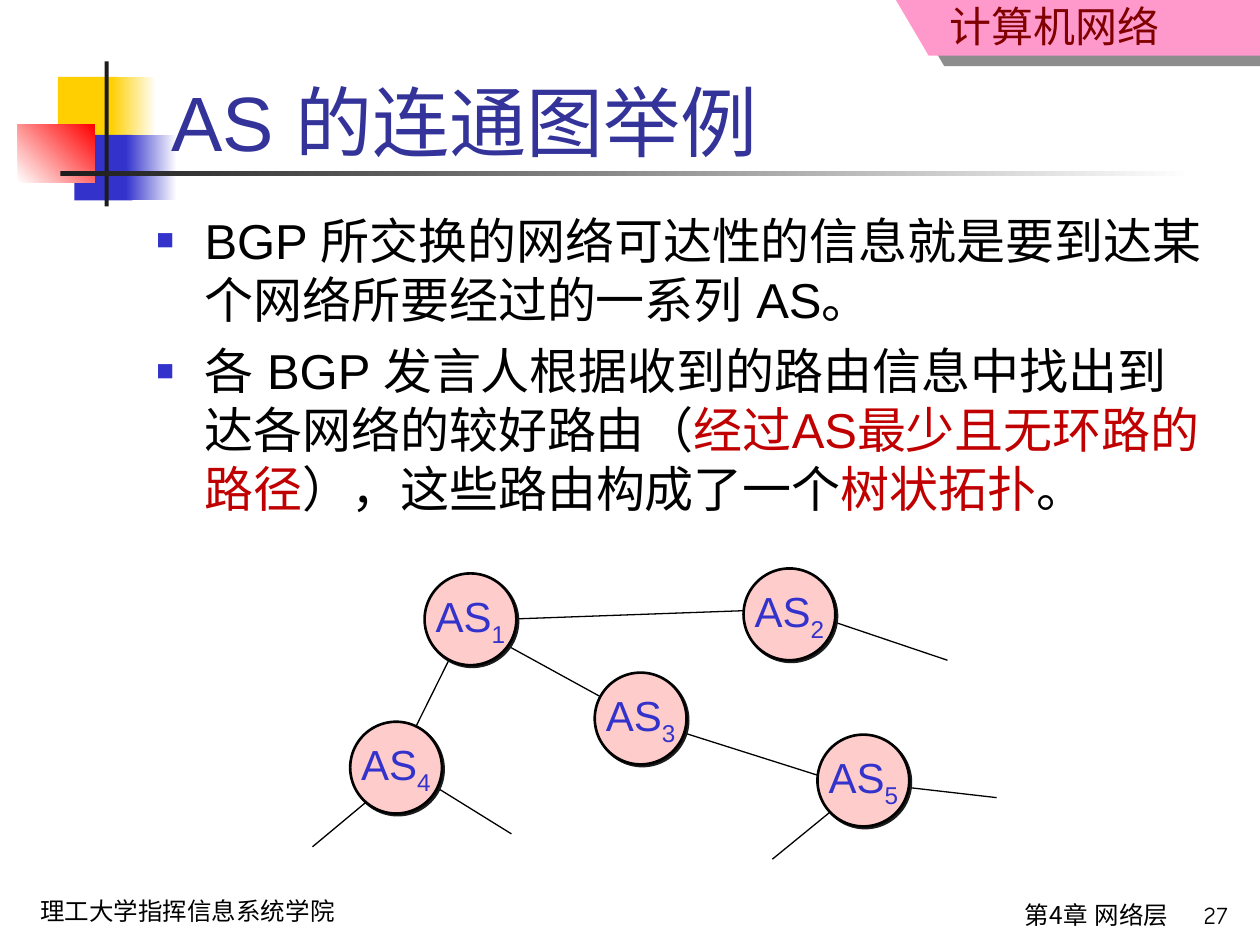
import dataclasses
import typing

import lxml.etree
import pptx
import pptx.dml.color
import pptx.enum.shapes
import pptx.enum.text
import pptx.oxml.ns
import pptx.util

Cm, Pt = pptx.util.Cm, pptx.util.Pt
KIND = pptx.enum.shapes.MSO_SHAPE
ALIGN = pptx.enum.text.PP_ALIGN
ANCHOR = pptx.enum.text.MSO_ANCHOR
HUES = {
    "gold": "FFCF01", "blue": "3333CC", "red": "FF0000", "white": "FFFFFF",
    "ink": "1C1C1C", "black": "000000", "pink": "FF99CC", "rose": "FFCCCC",
    "navy": "333399", "wine": "800000", "alert": "C00000",
}
SANS, HAN, COMIC = "Arial", "Noto Sans CJK SC", "Comic Neue"
NODE = 1.85


@dataclasses.dataclass
class Block:
    """A decorative rectangle, plain or fading to a second hue."""
    box: tuple
    hue: str
    fade: str = ""
    angle: float = 0


@dataclasses.dataclass
class Run:
    """A piece of text with one look."""
    text: str
    size: float
    hue: str = "black"
    font: str = SANS
    base: int = 0


@dataclasses.dataclass
class Label:
    """A small text box of one line."""
    box: tuple
    run: Run
    align: typing.Any = ALIGN.RIGHT
    top: float = 0.13


BLOCKS = [
    Block((1.17, 1.55, 1.22, 1.32), "gold"),
    Block((2.24, 1.55, 0.91, 1.32), "gold", "white"),
    Block((1.5, 2.72, 1.17, 1.32), "blue"),
    Block((2.54, 2.72, 1.02, 1.32), "blue", "white"),
    Block((0.36, 2.51, 1.55, 1.17), "white", "red", 45),
    Block((2.11, 1.24, 0.08, 2.92), "ink"),
    Block((1.22, 3.45, 22.86, 0.1), "ink", "white"),
]
LABELS = [
    Label((0.56, 17.93, 7.9, 0.86), Run("理工大学指挥信息系统学院", 14, font=COMIC), ALIGN.LEFT),
    Label((14.78, 0, 8.84, 1.14), Run("计算机网络", 24, "wine", HAN), top=0),
    Label((10.9, 18.01, 12.9, 1.04), Run("第4章 网络层", 14, font=HAN)),
    Label((22.99, 18.01, 2.01, 0.97), Run("27", 14, font=COMIC)),
]
POINTS = [
    [Run("BGP 所交换的网络可达性的信息就是要到达某个网络所要经过的一系列 AS。", 28)],
    [Run("各 BGP 发言人根据收到的路由信息中找出到达各网络的较好路由（", 28),
     Run("经过AS最少且无环路的路径", 28, "alert"),
     Run("），这些路由构成了一个", 28),
     Run("树状拓扑", 28, "alert"),
     Run("。", 28)],
]
LINKS = [
    (8.31, 15.57, 10.31, 16.81), (7.8, 15.82, 6.3, 17.07), (17.09, 16.08, 15.57, 17.32),
    (9.73, 12.5, 15.57, 12.29), (16.08, 12.29, 19.1, 13.31), (9.6, 12.67, 12.57, 14.3),
    (13.08, 14.55, 17.09, 15.82), (17.83, 15.82, 20.09, 16.08), (8.05, 15.32, 9.3, 12.8),
]
NODES = [(8.56, 11.56), (14.99, 11.46), (11.99, 13.56), (7.06, 14.55), (16.48, 14.81)]


def rgb(hue: str) -> pptx.dml.color.RGBColor:
    """Look up a colour by name."""
    return pptx.dml.color.RGBColor.from_string(HUES[hue])


def sub(node, tag: str, **attrs):
    """Append a drawing element."""
    return lxml.etree.SubElement(node, pptx.oxml.ns.qn("a:" + tag), attrs)


def paint(shape, hue: str) -> None:
    """Give a shape a solid fill, no line and no shadow."""
    shape.fill.solid()
    shape.fill.fore_color.rgb = rgb(hue)
    shape.line.fill.background()
    shape.shadow.inherit = False


def shade(shape, alpha: int, dist: float, turn: int) -> None:
    """Give a painted shape a hard offset shadow."""
    effects = shape._element.spPr.find(pptx.oxml.ns.qn("a:effectLst"))
    drop = sub(effects, "outerShdw", blurRad="0", dist=str(Pt(dist)),
               dir=str(turn * 60000), algn="ctr", rotWithShape="0")
    sub(sub(drop, "srgbClr", val=HUES["ink"]), "alpha", val=str(alpha * 1000))


def write(para, run: Run) -> None:
    """Add one run to a paragraph."""
    piece = para.add_run()
    piece.text = run.text
    piece.font.size = Pt(run.size)
    piece.font.name = run.font
    piece.font.color.rgb = rgb(run.hue)
    props = piece._r.get_or_add_rPr()
    props.set("lang", "zh-CN")
    sub(props, "ea", typeface=SANS)
    if run.base:
        props.set("baseline", str(run.base * 1000))


def place(shape, box: tuple) -> None:
    """Move and size a shape."""
    shape.left, shape.top, shape.width, shape.height = map(Cm, box)


def block(shapes, item: Block) -> None:
    """Draw a decorative rectangle."""
    rect = shapes.add_shape(KIND.RECTANGLE, *map(Cm, item.box))
    paint(rect, item.hue)
    if item.fade:
        rect.fill.gradient()
        rect.fill.gradient_angle = item.angle
        for stop, hue in zip(rect.fill.gradient_stops, (item.hue, item.fade)):
            stop.color.rgb = rgb(hue)


def banner(shapes) -> None:
    """Draw the slanted corner banner."""
    path = shapes.build_freeform(Cm(18.06), 0)
    path.add_line_segments([(Cm(18.72), Cm(1.12)), (Cm(25.4), Cm(1.12)), (Cm(25.4), 0)])
    shape = path.convert_to_shape()
    paint(shape, "pink")
    shade(shape, 50, 10.8, 34)


def label(shapes, item: Label) -> None:
    """Draw a one-line text box."""
    frame = shapes.add_textbox(*map(Cm, item.box)).text_frame
    frame.word_wrap = True
    frame.margin_top = Cm(item.top)
    para = frame.paragraphs[0]
    para.alignment = item.align
    para.line_spacing = Pt(item.run.size * 1.2)
    write(para, item.run)


def link(shapes, ends: tuple) -> None:
    """Draw a thin line between two points."""
    line = shapes.add_connector(pptx.enum.shapes.MSO_CONNECTOR.STRAIGHT, *map(Cm, ends))
    line.line.color.rgb = rgb("black")
    line.line.width = Pt(0.74)
    sub(line._element.spPr, "effectLst")


def node(shapes, spot: tuple, num: int) -> None:
    """Draw one numbered AS circle."""
    disc = shapes.add_shape(KIND.OVAL, *map(Cm, (*spot, NODE, NODE)))
    paint(disc, "rose")
    shade(disc, 100, 1.4, 45)
    disc.line.color.rgb = rgb("black")
    disc.line.width = Pt(1.5)
    frame = disc.text_frame
    frame.word_wrap = False
    frame.vertical_anchor = ANCHOR.MIDDLE
    para = frame.paragraphs[0]
    para.alignment = ALIGN.CENTER
    write(para, Run("AS", 24, "blue"))
    write(para, Run(str(num), 24, "blue", base=-25))


def bullet(para) -> None:
    """Set spacing, hanging indent and a square bullet."""
    para.line_spacing = Pt(33.7)
    para.space_before = Pt(7)
    props = para._p.get_or_add_pPr()
    props.set("marL", str(Cm(0.97)))
    props.set("indent", str(-Cm(0.97)))
    sub(sub(props, "buClr"), "srgbClr", val=HUES["blue"])
    sub(props, "buSzPct", val="60000")
    sub(props, "buFont", typeface=SANS)
    sub(props, "buChar", char="■")


def fill(shapes) -> None:
    """Place and fill the title and the body list above the decoration."""
    title, body = shapes.title, shapes.placeholders[1]
    for shape, box in ((title, (3.2, 0.71, 21.64, 2.79)), (body, (2.9, 4.11, 21.59, 8.59))):
        place(shape, box)
        shape.text_frame.auto_size = pptx.enum.text.MSO_AUTO_SIZE.NONE
        shapes._spTree.append(shape._element)
    title.text_frame.vertical_anchor = ANCHOR.BOTTOM
    head = title.text_frame.paragraphs[0]
    head.alignment = ALIGN.LEFT
    write(head, Run("AS 的连通图举例", 44, "navy"))
    frame = body.text_frame
    for rank, runs in enumerate(POINTS):
        para = frame.add_paragraph() if rank else frame.paragraphs[0]
        bullet(para)
        for run in runs:
            write(para, run)


def main() -> None:
    """Build and save the slide."""
    deck = pptx.Presentation()
    deck.slide_width, deck.slide_height = Cm(25.4), Cm(19.05)
    shapes = deck.slides.add_slide(deck.slide_layouts[1]).shapes
    for item in BLOCKS:
        block(shapes, item)
    banner(shapes)
    for item in LABELS:
        label(shapes, item)
    fill(shapes)
    for ends in LINKS:
        link(shapes, ends)
    for num, spot in enumerate(NODES, 1):
        node(shapes, spot, num)
    deck.save("out.pptx")


main()
